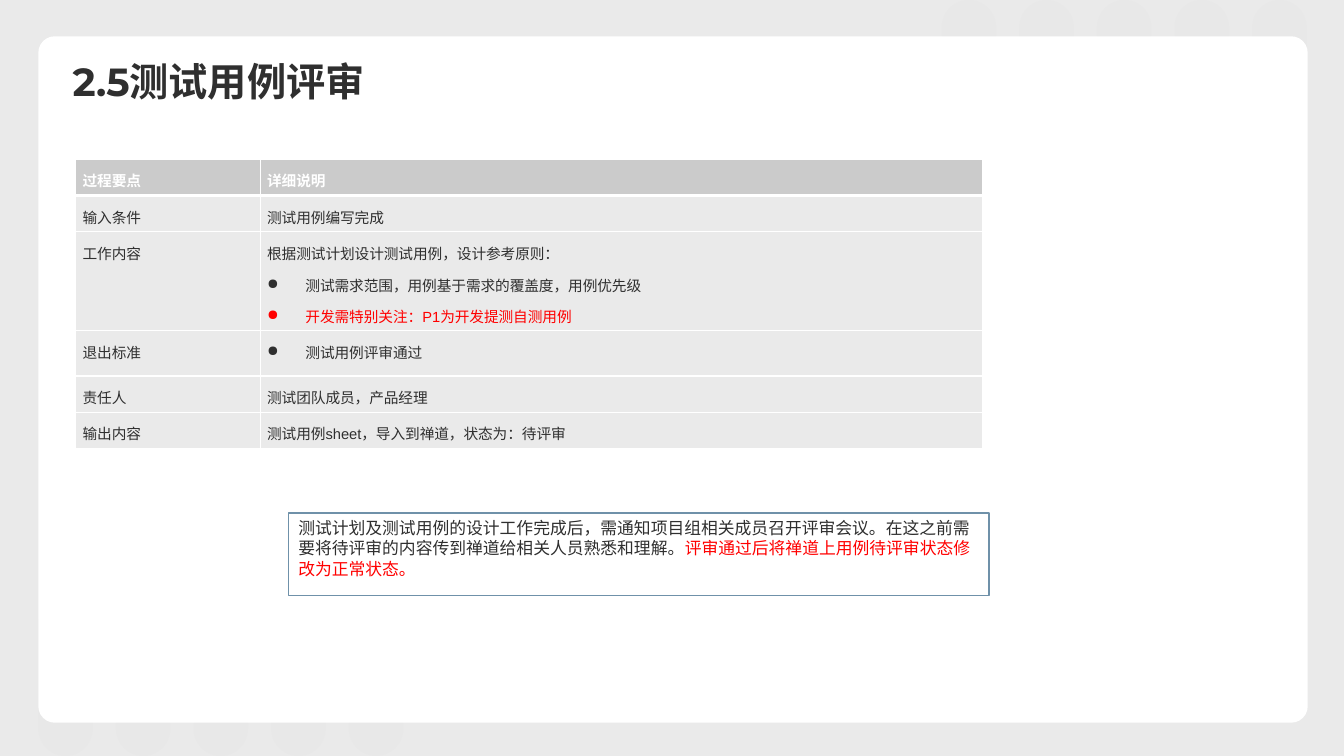
from lxml import etree
from pptx import Presentation
from pptx.dml.color import RGBColor
from pptx.enum.shapes import MSO_SHAPE
from pptx.enum.text import MSO_ANCHOR, PP_ALIGN
from pptx.oxml.ns import qn
from pptx.util import Inches, Pt

RECT, ROUND = MSO_SHAPE.RECTANGLE, MSO_SHAPE.ROUNDED_RECTANGLE
TOP, MIDDLE = MSO_ANCHOR.TOP, MSO_ANCHOR.MIDDLE
LEFT, JUSTIFY = PP_ALIGN.LEFT, PP_ALIGN.JUSTIFY

GREY = RGBColor(0xEA, 0xEA, 0xEA)
HEADER = RGBColor(0xCB, 0xCB, 0xCB)
PILL = RGBColor(0xD9, 0xD9, 0xD9)
WHITE = RGBColor(0xFF, 0xFF, 0xFF)
DARK = RGBColor(0x2F, 0x2F, 0x2F)
RED = RGBColor(0xFF, 0x00, 0x00)
BLUE = RGBColor(0x6F, 0x91, 0xA9)

CJK = "Noto Sans CJK SC"
TITLE = {"name": "Montserrat", "size": Pt(28), "bold": True}
HEAD = {"name": CJK, "size": Pt(10.5), "bold": True}
BODY = {"name": "Arial", "size": Pt(10.5), "bold": False}
NOTE = {"name": "Arial", "size": Pt(12), "bold": False}

# Each cell is a list of (text, bulleted, colour)
ROWS = [
    ("过程要点", [("详细说明", False, WHITE)]),
    ("输入条件", [("测试用例编写完成", False, DARK)]),
    ("工作内容", [("根据测试计划设计测试用例，设计参考原则：", False, DARK),
              ("测试需求范围，用例基于需求的覆盖度，用例优先级", True, DARK),
              ("开发需特别关注：P1为开发提测自测用例", True, RED)]),
    ("退出标准", [("测试用例评审通过", True, DARK)]),
    ("责任人", [("测试团队成员，产品经理", False, DARK)]),
    ("输出内容", [("测试用例sheet，导入到禅道，状态为：待评审", False, DARK)]),
]
COL_WIDTHS = [1.83, 7.17]
ROW_HEIGHTS = [0.36, 0.36, 0.98, 0.45, 0.36, 0.36]


class Deck:
    def __init__(self):
        self.prs = Presentation()
        self.prs.slide_width, self.prs.slide_height = Inches(13.33), Inches(7.5)
        self.s = self.prs.slides.add_slide(self.prs.slide_layouts[5])
        fill = self.s.background.fill
        fill.solid()
        fill.fore_color.rgb = GREY

    def run(self, p, text, style, color):
        r = p.add_run()
        r.text = text
        for key, value in style.items():
            setattr(r.font, key, value)
        r.font.color.rgb = color
        ea = etree.SubElement(r.font._element, qn("a:ea"))
        ea.set("typeface", CJK)

    def shape(self, kind, x, y, w, h, fill, line=None, adj=None, alpha=None):
        sp = self.s.shapes.add_shape(kind, *map(Inches, (x, y, w, h)))
        sp.shadow.inherit = False
        sp.fill.solid()
        sp.fill.fore_color.rgb = fill
        if adj is not None:
            sp.adjustments[0] = adj
        if alpha is not None:
            clr = sp.element.spPr.find(".//" + qn("a:srgbClr"))
            etree.SubElement(clr, qn("a:alpha")).set("val", str(alpha * 1000))
        if line is None:
            sp.line.fill.background()
        else:
            sp.line.color.rgb = line
            sp.line.width = Pt(1)
        return sp

    def title(self, text, x, y, w, h):
        sp = self.s.shapes.title
        sp.left, sp.top, sp.width, sp.height = map(Inches, (x, y, w, h))
        tf = sp.text_frame
        tf.vertical_anchor = MIDDLE
        p = tf.paragraphs[0]
        p.alignment, p.line_spacing = LEFT, 0.9
        self.run(p, text, TITLE, DARK)
        # Bring the title in front of the panel
        sp.element.getparent().append(sp.element)

    def note(self, parts, x, y, w, h):
        tf = self.shape(RECT, x, y, w, h, WHITE, line=BLUE).text_frame
        tf.word_wrap, tf.vertical_anchor = True, TOP
        p = tf.paragraphs[0]
        p.alignment = LEFT
        for text, color in parts:
            self.run(p, text, NOTE, color)

    def bullet(self, p):
        pPr = p._p.get_or_add_pPr()
        pPr.set("marL", str(Inches(0.38)))
        pPr.set("indent", str(-Inches(0.38)))
        etree.SubElement(pPr, qn("a:buChar")).set("char", "●")
        tabs = etree.SubElement(pPr, qn("a:tabLst"))
        tab = etree.SubElement(tabs, qn("a:tab"))
        tab.set("pos", str(Inches(0.29)))
        tab.set("algn", "l")

    def borders(self, cell, bottom):
        tcPr = cell._tc.get_or_add_tcPr()
        widths = {"lnL": 1, "lnR": 1, "lnT": 1, "lnB": bottom}
        for i, (tag, width) in enumerate(widths.items()):
            ln = etree.Element(qn("a:" + tag), w=str(Pt(width)))
            fill = etree.SubElement(ln, qn("a:solidFill"))
            etree.SubElement(fill, qn("a:srgbClr")).set("val", str(WHITE))
            tcPr.insert(i, ln)

    def cell(self, cell, lines, style, fill, bottom):
        cell.margin_left = cell.margin_right = Inches(0.07)
        cell.margin_top = cell.margin_bottom = 0
        cell.vertical_anchor = TOP
        cell.fill.solid()
        cell.fill.fore_color.rgb = fill
        self.borders(cell, bottom)
        tf = cell.text_frame
        for i, (text, bulleted, color) in enumerate(lines):
            p = tf.add_paragraph() if i else tf.paragraphs[0]
            if bulleted:
                self.bullet(p)
            p.alignment, p.line_spacing = JUSTIFY, 1.5
            self.run(p, text, style, color)

    def table(self, rows, x, y, widths, heights):
        size = map(Inches, (x, y, sum(widths), sum(heights)))
        tbl = self.s.shapes.add_table(len(rows), len(widths), *size).table
        tbl.horz_banding = False
        for col, width in zip(tbl.columns, widths):
            col.width = Inches(width)
        for row, height in zip(tbl.rows, heights):
            row.height = Inches(height)
        for i, (label, lines) in enumerate(rows):
            style, fill, color, bottom = (BODY, GREY, DARK, 1) if i else (HEAD, HEADER, WHITE, 3)
            self.cell(tbl.cell(i, 0), [(label, False, color)], style, fill, bottom)
            self.cell(tbl.cell(i, 1), lines, style, fill, bottom)


def main():
    deck = Deck()

    # Background pills and white panel
    for left, top in ((0.38, 5.9), (9.34, 0)):
        for i in range(5):
            deck.shape(ROUND, left + 0.77 * i, top, 0.54, 1.6, PILL, adj=0.5, alpha=10)
    deck.shape(ROUND, 0.38, 0.36, 12.59, 6.81, WHITE, adj=0.024)

    # Title, review table and note
    deck.title("2.5测试用例评审", 0.62, 0.58, 3.9, 0.5)
    deck.table(ROWS, 0.75, 1.58, COL_WIDTHS, ROW_HEIGHTS)
    deck.note([
        ("测试计划及测试用例的设计工作完成后，需通知项目组相关成员召开评审会议。"
         "在这之前需要将待评审的内容传到禅道给相关人员熟悉和理解。", DARK),
        ("评审通过后将禅道上用例待评审状态修改为正常状态。", RED),
    ], 2.86, 5.09, 6.95, 0.82)

    deck.prs.save("out.pptx")


if __name__ == "__main__":
    main()
